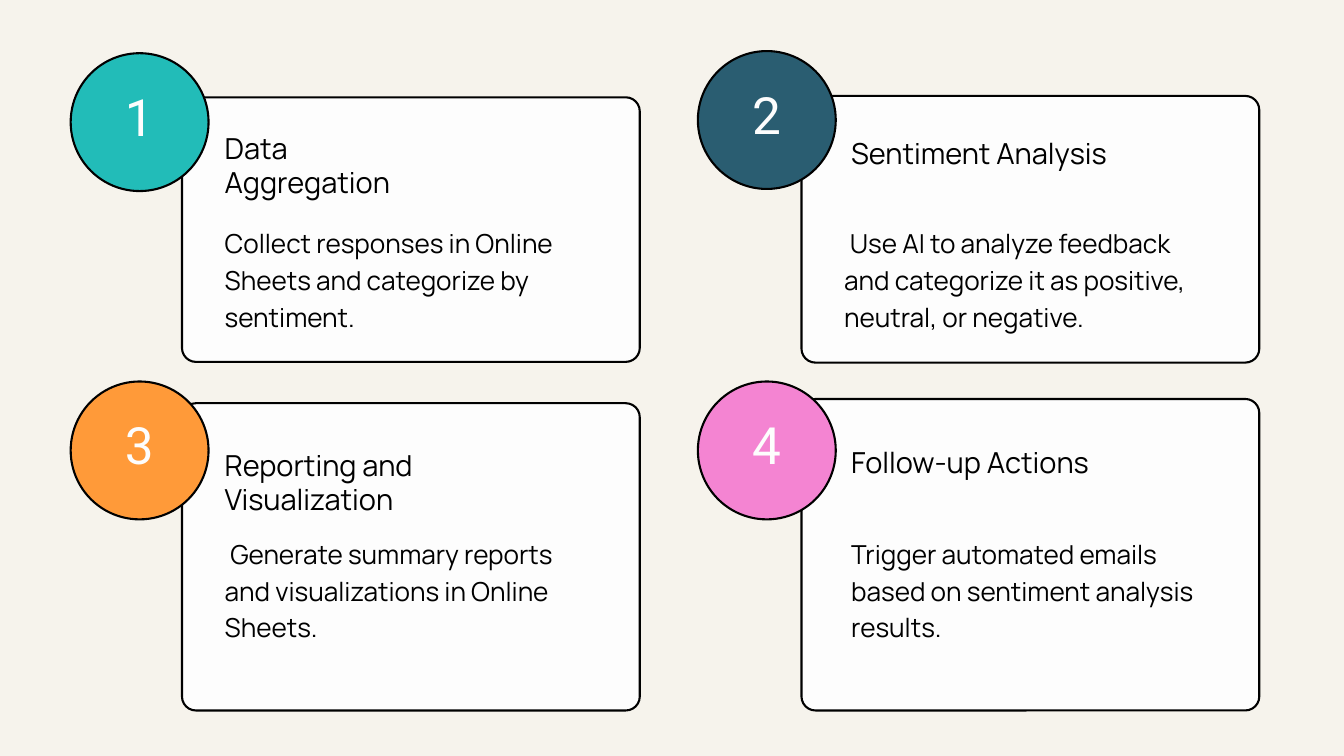
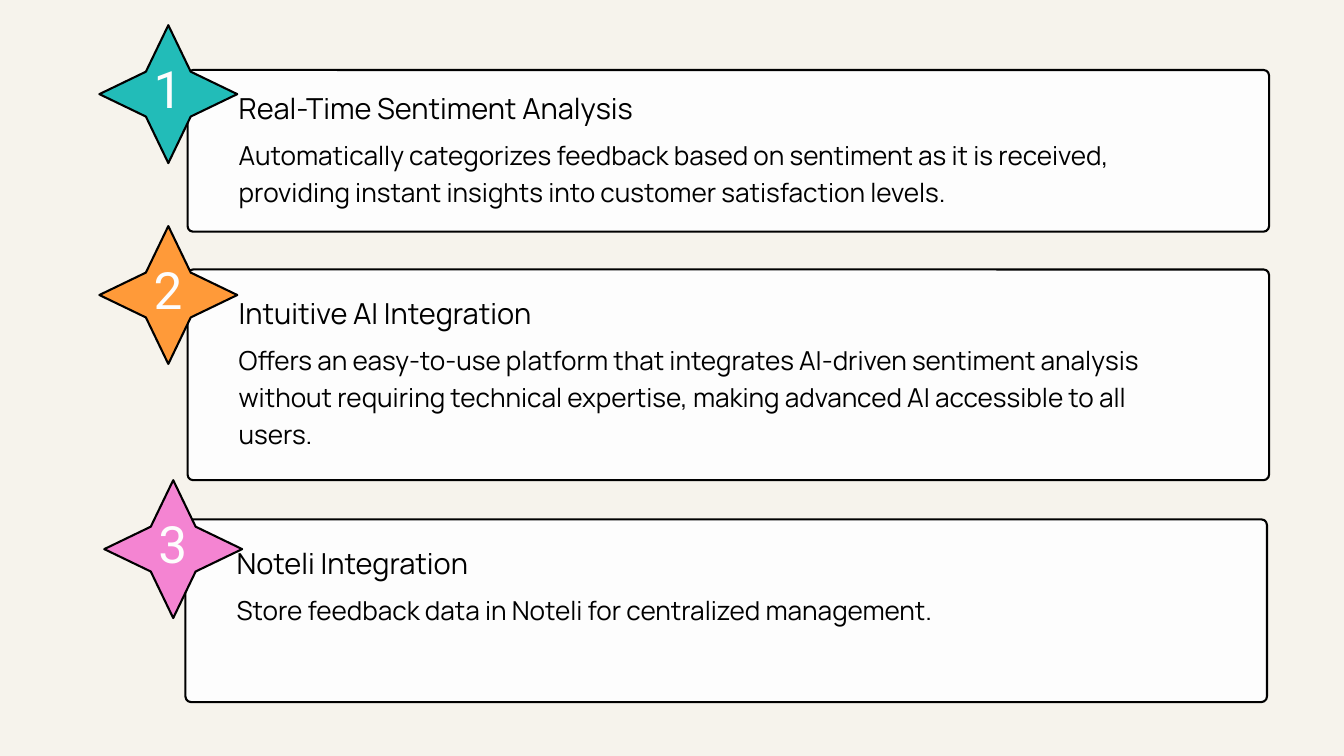
from pptx import Presentation
from pptx.dml.color import RGBColor
from pptx.enum.shapes import MSO_SHAPE
from pptx.enum.text import PP_ALIGN
from pptx.util import Pt

PX = 9525  # EMU in one px, 96 px to the inch
WIDTH, HEIGHT = 1920, 1080

CREAM = RGBColor(0xF6, 0xF3, 0xEC)
WHITE = RGBColor(0xFD, 0xFD, 0xFD)
BLACK = RGBColor(0, 0, 0)
TEAL = RGBColor(0x22, 0xBC, 0xB8)
NAVY = RGBColor(0x2A, 0x5D, 0x71)
ORANGE = RGBColor(0xFF, 0x9A, 0x39)
PINK = RGBColor(0xF4, 0x84, 0xD2)

ROUNDED = MSO_SHAPE.ROUNDED_RECTANGLE
CIRCLE = MSO_SHAPE.OVAL
STAR = MSO_SHAPE.STAR_4_POINT
LEFT, CENTER = PP_ALIGN.LEFT, PP_ALIGN.CENTER

BADGE = 197
HEAD = dict(size=31, lead=37.2)
BODY = dict(size=28, lead=39.2)
DIGIT = dict(size=55, lead=44, font="Roboto", color=WHITE, align=CENTER)

# label, colour, badge (x, y), card (x, y, h),
# heading, its (x, y, w), body, its (x, y, w), first-line indent
STEPS = [
    ("1", TEAL, (101, 76), (260, 139, 378),
     "Data Aggregation", (321, 186, 322),
     "Collect responses in Online Sheets and categorize by sentiment.",
     (321, 318, 504), 0),
    ("2", NAVY, (997, 73), (1145, 137, 381),
     "Sentiment Analysis", (1216, 194, 375),
     "Use AI to analyze feedback and categorize it as positive, "
     "neutral, or negative.",
     (1206, 318, 533), 8),
    ("3", ORANGE, (101, 545), (260, 576, 439),
     "Reporting and Visualization", (321, 639, 322),
     "Generate summary reports and visualizations in Online Sheets.",
     (321, 762, 470), 8),
    ("4", PINK, (997, 545), (1145, 570, 445),
     "Follow-up Actions", (1216, 635, 375),
     "Trigger automated emails based on sentiment analysis results.",
     (1216, 762, 533), 0),
]

# label, colour, badge (x, y), card (x, y, h), heading, its (y, w), body
PERKS = [
    ("1", TEAL, (142, 36), (268, 100, 231),
     "Real-Time Sentiment Analysis", (130, 718),
     "Automatically categorizes feedback based on sentiment as it is "
     "received, providing instant insights into customer satisfaction "
     "levels."),
    ("2", ORANGE, (142, 323), (268, 385, 301),
     "Intuitive AI Integration", (423, 648),
     "Offers an easy-to-use platform that integrates AI-driven sentiment "
     "analysis without requiring technical expertise, making advanced AI "
     "accessible to all users."),
    ("3", PINK, (149, 686), (265, 742, 261),
     "Noteli Integration", (780, 1039),
     "Store feedback data in Noteli for centralized management."),
]


def add_page(deck):
    page = deck.slides.add_slide(deck.slide_layouts[6])
    page.background.fill.solid()
    page.background.fill.fore_color.rgb = CREAM
    return page


def add_text(page, text, x, y, w, h, size, lead, font="Manrope",
             color=BLACK, align=LEFT, indent=0):
    box = page.shapes.add_textbox(x * PX, y * PX, w * PX, h * PX)
    frame = box.text_frame
    frame.word_wrap = True
    frame.margin_left = frame.margin_right = 0
    frame.margin_top = frame.margin_bottom = 0
    para = frame.paragraphs[0]
    para.alignment = align
    para.line_spacing = Pt(lead)
    if indent:
        para._p.get_or_add_pPr().set("indent", str(indent * PX))
    run = para.add_run()
    run.text = text
    run.font.size = Pt(size)
    run.font.name = font
    run.font.color.rgb = color


def add_form(page, kind, x, y, w, h, fill):
    """Add a filled shape with the black outline that all shapes share."""
    form = page.shapes.add_shape(kind, x * PX, y * PX, w * PX, h * PX)
    form.shadow.inherit = False
    form.fill.solid()
    form.fill.fore_color.rgb = fill
    form.line.color.rgb = BLACK
    form.line.width = Pt(2.25)
    return form


def add_card(page, x, y, w, h, radius):
    card = add_form(page, ROUNDED, x, y, w, h, WHITE)
    card.adjustments[0] = radius / min(w, h)


def add_badge(page, kind, label, x, y, fill):
    badge = add_form(page, kind, x, y, BADGE, BADGE, fill)
    if kind == STAR:
        badge.adjustments[0] = 0.23
    add_text(page, label, x + 33, y + 75, 130, 66, **DIGIT)


def add_steps(page):
    for label, fill, spot, card, head, top, body, low, indent in STEPS:
        x, y, h = card
        add_card(page, x, y, 654, h, 20)
        add_text(page, head, *top, 102, **HEAD)
        add_text(page, body, *low, 157, indent=indent, **BODY)
        add_badge(page, CIRCLE, label, *spot, fill)


def add_perks(page):
    for label, fill, spot, card, head, (top, wide), body in PERKS:
        x, y, h = card
        add_card(page, x, y, 1545, h, 8)
        add_text(page, head, x + 73, top, wide, 53, **HEAD)
        add_text(page, body, x + 73, top + 62, 1373, 106, **BODY)
        add_badge(page, STAR, label, *spot, fill)


def main():
    deck = Presentation()
    deck.slide_width, deck.slide_height = WIDTH * PX, HEIGHT * PX
    add_steps(add_page(deck))
    add_perks(add_page(deck))
    deck.save("out.pptx")


if __name__ == "__main__":
    main()
